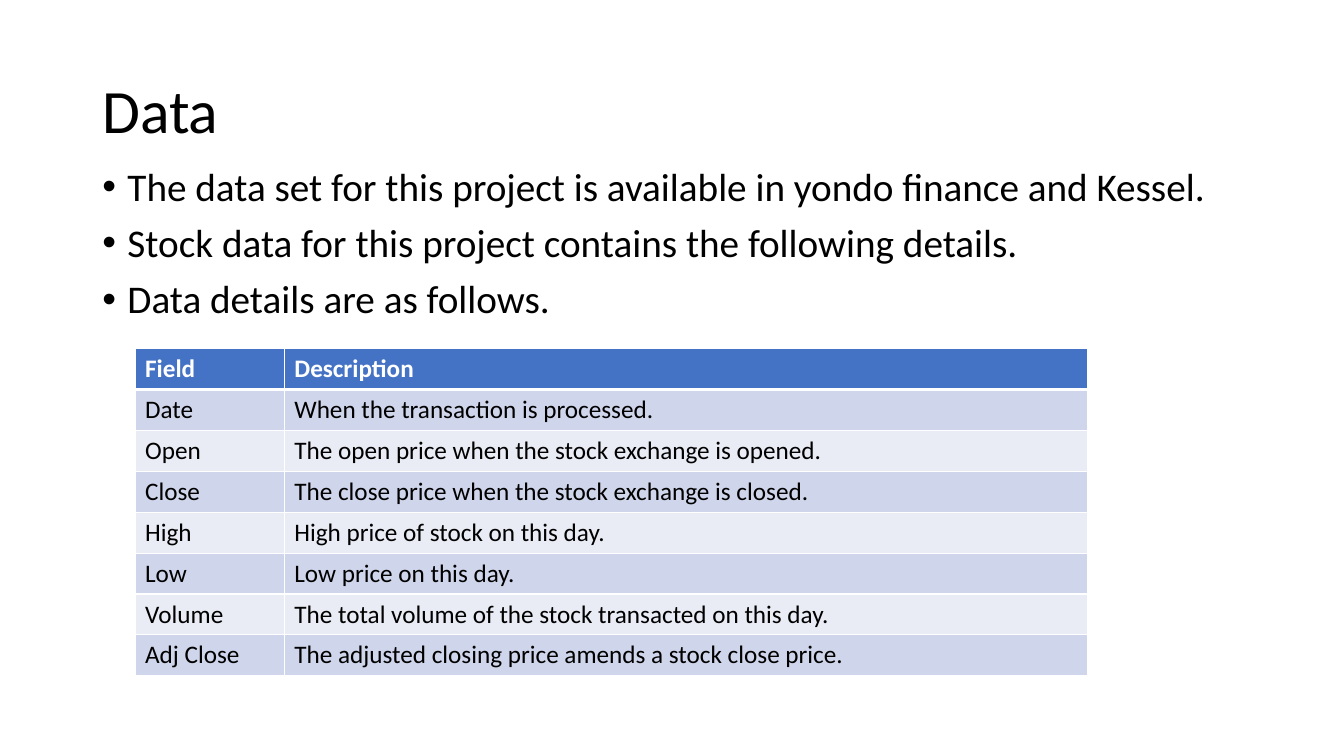
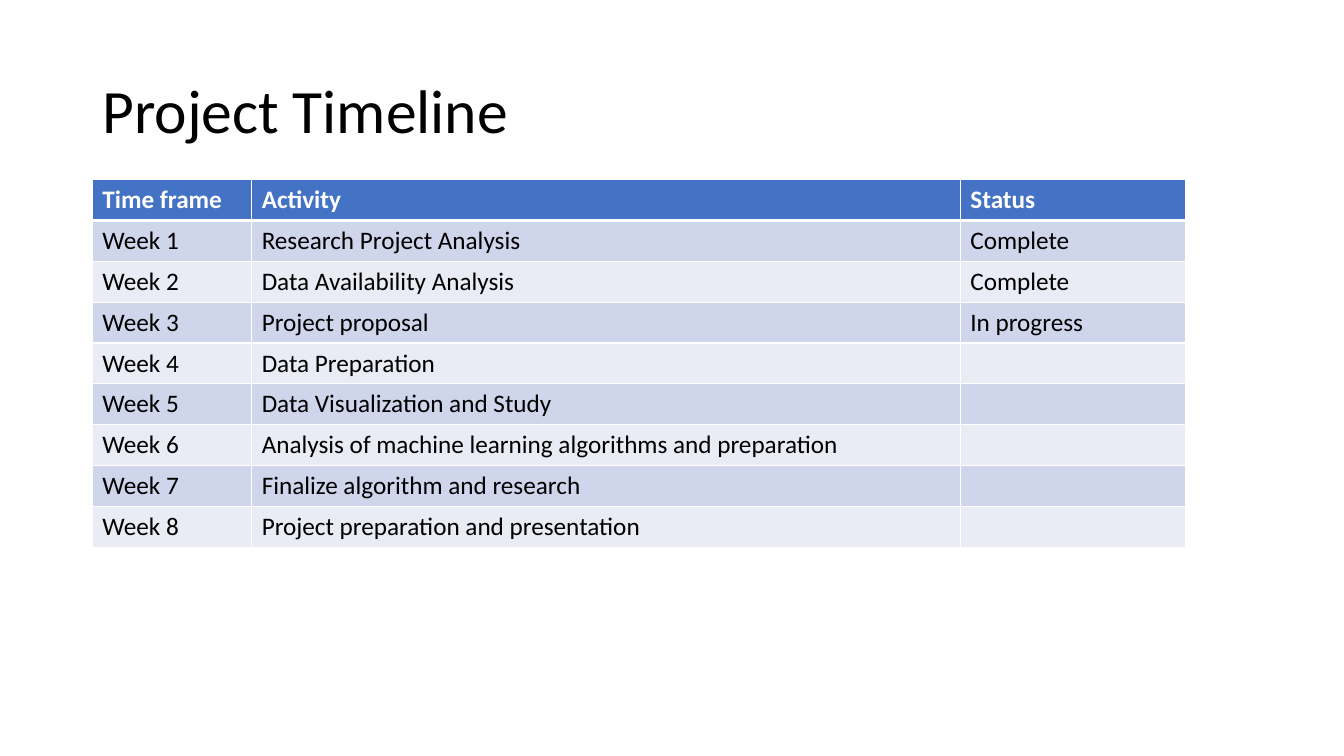
from lxml import etree
from pptx import Presentation
from pptx.dml.color import RGBColor
from pptx.enum.text import MSO_ANCHOR
from pptx.oxml.ns import qn
from pptx.util import Pt

TOP = MSO_ANCHOR.TOP
MIDDLE = MSO_ANCHOR.MIDDLE

BLACK = RGBColor(0x00, 0x00, 0x00)
WHITE = RGBColor(0xFF, 0xFF, 0xFF)
BLUE = RGBColor(0x44, 0x72, 0xC4)
BANDS = (RGBColor(0xCF, 0xD5, 0xEA), RGBColor(0xE9, 0xEB, 0xF5))

FONT = "Calibri"
LEFT = 66
WIDTH = 828
ROW = 29.2
INDENT = 18

FIELDS = [
    ("Field", "Description"),
    ("Date", "When the transaction is processed."),
    ("Open", "The open price when the stock exchange is opened."),
    ("Close", "The close price when the stock exchange is closed."),
    ("High", "High price of stock on this day."),
    ("Low", "Low price on this day."),
    ("Volume", "The total volume of the stock transacted on this day."),
    ("Adj Close", "The adjusted closing price amends a stock close price."),
]

STEPS = [
    ("Research Project Analysis", "Complete"),
    ("Data Availability Analysis", "Complete"),
    ("Project proposal", "In progress"),
    ("Data Preparation", ""),
    ("Data Visualization and Study", ""),
    ("Analysis of machine learning algorithms and preparation", ""),
    ("Finalize algorithm and research", ""),
    ("Project preparation and presentation", ""),
]


def write(para, text, size=18, color=BLACK, bold=False, line=None, before=None):
    if line:
        para.line_spacing = line
    if before:
        para.space_before = Pt(before)
    if not text:
        para.font.size = Pt(size)
        return
    run = para.add_run()
    run.text = text
    font = run.font
    font.name, font.size, font.bold = FONT, Pt(size), bold
    font.color.rgb = color


def bullet(para):
    props = para._p.get_or_add_pPr()
    props.set("marL", str(Pt(INDENT)))
    props.set("indent", str(-Pt(INDENT)))
    etree.SubElement(props, qn("a:buFont")).set("typeface", "Arial")
    etree.SubElement(props, qn("a:buChar")).set("char", "•")


def border(cell, **widths):
    props = cell._tc.get_or_add_tcPr()
    for side in "LRTB":
        line = etree.SubElement(props, qn(f"a:ln{side}"))
        line.set("w", str(Pt(widths.get(side, 1))))
        fill = etree.SubElement(line, qn("a:solidFill"))
        etree.SubElement(fill, qn("a:srgbClr")).set("val", str(WHITE))


class Deck:
    def __init__(self):
        self.prs = Presentation()
        self.prs.slide_width = Pt(960)
        self.prs.slide_height = Pt(540)
        self.slide = None

    def page(self, title):
        self.slide = self.prs.slides.add_slide(self.prs.slide_layouts[6])
        frame = self.frame(28.75, 104.4, MIDDLE)
        write(frame.paragraphs[0], title, size=44, line=0.9)

    def frame(self, top, height, anchor=TOP):
        box = self.slide.shapes.add_textbox(Pt(LEFT), Pt(top), Pt(WIDTH), Pt(height))
        frame = box.text_frame
        frame.word_wrap = True
        frame.vertical_anchor = anchor
        return frame

    def list(self, items, top, height):
        frame = self.frame(top, height)
        for i, item in enumerate(items):
            para = frame.add_paragraph() if i else frame.paragraphs[0]
            write(para, item, size=28, line=0.9, before=10)
            bullet(para)

    def table(self, rows, left, top, widths):
        shape = self.slide.shapes.add_table(
            len(rows), len(widths), Pt(left), Pt(top),
            Pt(sum(widths)), Pt(ROW * len(rows)))
        grid = shape.table
        for col, width in zip(grid.columns, widths):
            col.width = Pt(width)
        for r, row in enumerate(rows):
            grid.rows[r].height = Pt(ROW)
            head = r == 0
            for c, text in enumerate(row):
                cell = grid.cell(r, c)
                border(cell, T=3 if r == 1 else 1, B=3 if head else 1)
                cell.fill.solid()
                cell.fill.fore_color.rgb = BLUE if head else BANDS[(r - 1) % 2]
                write(cell.text_frame.paragraphs[0], text,
                      color=WHITE if head else BLACK, bold=head)

    def save(self):
        self.prs.save("out.pptx")


def main():
    deck = Deck()

    deck.page("Data")
    deck.list([
        "The data set for this project is available in yondo finance and Kessel.",
        "Stock data for this project contains the following details.",
        "Data details are as follows.",
    ], top=115.9, height=367.2)
    deck.table(FIELDS, left=96.5, top=249.1, widths=(106.6, 573.8))

    deck.page("Project Timeline")
    weeks = [(f"Week {n}", *step) for n, step in enumerate(STEPS, 1)]
    deck.table([("Time frame", "Activity", "Status"), *weeks],
               left=LEFT, top=128.2, widths=(113.8, 506.2, 160.6))

    deck.save()


if __name__ == "__main__":
    main()
